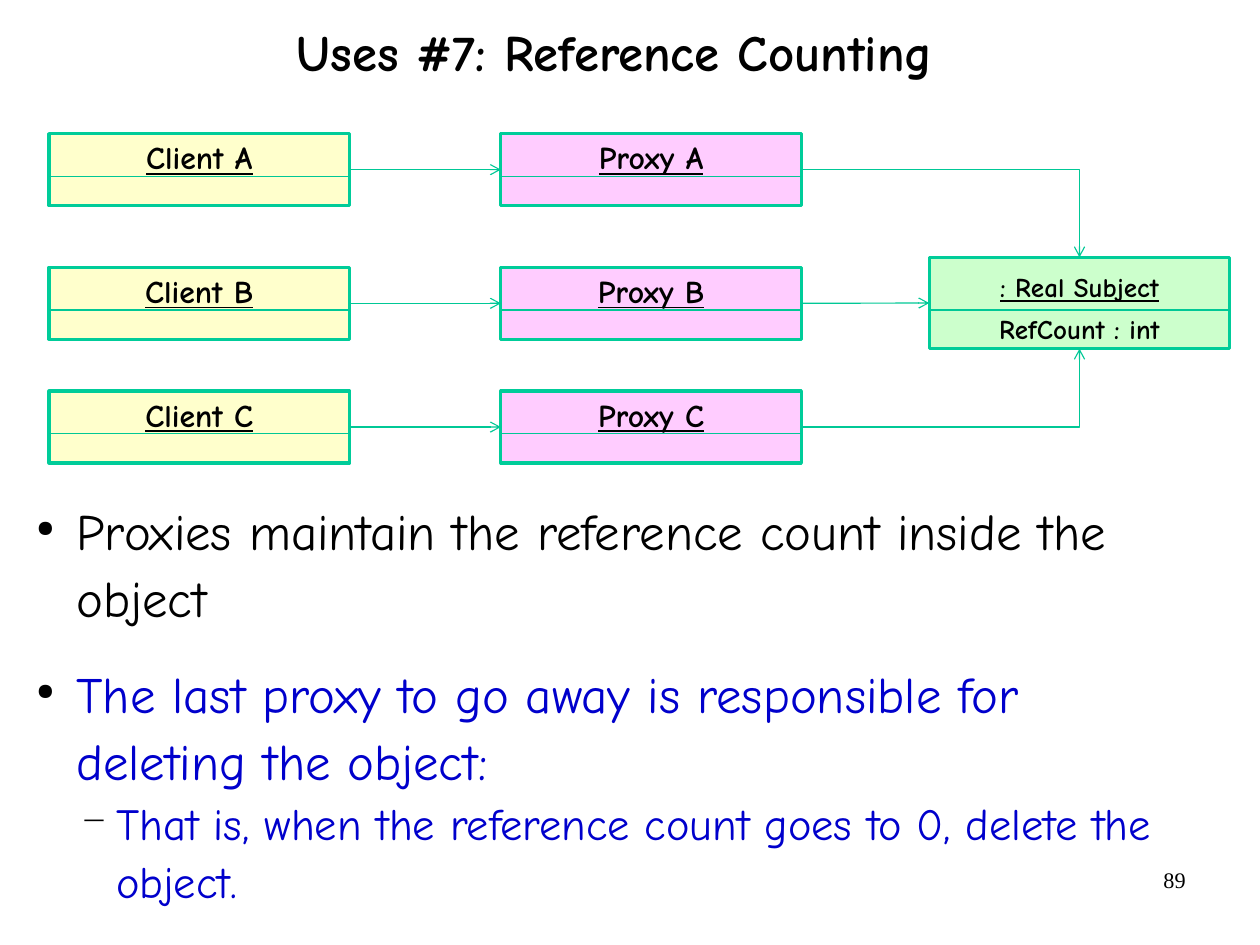
from dataclasses import dataclass

from lxml import etree
from pptx import Presentation
from pptx.dml.color import RGBColor
from pptx.enum.shapes import MSO_CONNECTOR, MSO_SHAPE
from pptx.enum.text import MSO_ANCHOR, MSO_AUTO_SIZE, PP_ALIGN
from pptx.oxml.ns import qn
from pptx.util import Cm, Pt

STRAIGHT, ELBOW = MSO_CONNECTOR.STRAIGHT, MSO_CONNECTOR.ELBOW
RECTANGLE = MSO_SHAPE.RECTANGLE
TOP, MIDDLE = MSO_ANCHOR.TOP, MSO_ANCHOR.MIDDLE
LEFT, CENTER, RIGHT = PP_ALIGN.LEFT, PP_ALIGN.CENTER, PP_ALIGN.RIGHT
NO_AUTOFIT = MSO_AUTO_SIZE.NONE
SIDE_TOP, SIDE_LEFT, SIDE_BOTTOM, SIDE_RIGHT = range(4)
TITLE_ONLY = 5


@dataclass(frozen=True)
class Theme:
    font: str = "Comic Neue"
    number_font: str = "Times New Roman"
    black: str = "000000"
    blue: str = "0000CC"
    border: str = "00CC99"
    link: str = "00C896"
    client: str = "FFFFCC"
    proxy: str = "FFCCFF"
    subject: str = "CCFFCC"
    title_size: int = 32
    body_size: int = 32
    detail_size: int = 28
    name_size: int = 20
    subject_size: int = 17
    number_size: int = 14
    border_width: float = 2
    link_width: float = 0.75


def assign(target, values):
    for name, value in values.items():
        setattr(target, name, value)


class SlideBuilder:
    def __init__(self, slide, theme):
        self.slide = slide
        self.theme = theme

    def frame(self, shape, margins=(0, 0, 0, 0), anchor=TOP):
        text_frame = shape.text_frame
        sides = ("margin_left", "margin_top", "margin_right", "margin_bottom")
        assign(text_frame, dict(zip(sides, map(Cm, margins))))
        assign(text_frame, {"word_wrap": True, "auto_size": NO_AUTOFIT,
                            "vertical_anchor": anchor})
        return text_frame

    def add_text(self, paragraph, text, size, color=None, font=None,
                 alignment=CENTER, spacing=1.0, after=0, **styles):
        assign(paragraph, {"alignment": alignment, "line_spacing": spacing,
                           "space_before": Pt(0), "space_after": Pt(after)})
        run = paragraph.add_run()
        run.text = text
        assign(run.font, {"name": font or self.theme.font, "size": Pt(size), **styles})
        run.font.color.rgb = RGBColor.from_string(color or self.theme.black)

    def title(self, text, left, top, width, height):
        shape = self.slide.shapes.title
        assign(shape, {"left": Cm(left), "top": Cm(top),
                       "width": Cm(width), "height": Cm(height)})
        text_frame = self.frame(shape, anchor=MIDDLE)
        self.add_text(text_frame.paragraphs[0], text, self.theme.title_size,
                      spacing=0.88, bold=True)

    def text_box(self, left, top, width, height, margins=(0, 0, 0, 0)):
        shape = self.slide.shapes.add_textbox(Cm(left), Cm(top), Cm(width), Cm(height))
        return self.frame(shape, margins)

    def bullet(self, paragraph, symbol, percent, margin, hanging, level=0):
        paragraph.level = level
        properties = paragraph._p.get_or_add_pPr()
        properties.set("marL", str(Cm(margin)))
        properties.set("indent", str(-Cm(hanging)))
        color = etree.SubElement(properties, qn("a:buClr"))
        etree.SubElement(color, qn("a:srgbClr"), val=self.theme.black)
        etree.SubElement(properties, qn("a:buSzPct"), val=str(percent * 1000))
        etree.SubElement(properties, qn("a:buChar"), char=symbol)

    def line(self, kind, start=(0, 0), end=(0, 0)):
        points = [Cm(value) for value in (*start, *end)]
        connector = self.slide.shapes.add_connector(kind, *points)
        connector.line.color.rgb = RGBColor.from_string(self.theme.link)
        connector.line.width = Pt(self.theme.link_width)
        etree.SubElement(connector._element.spPr, qn("a:effectLst"))
        return connector

    def arrow(self, source, target, side=SIDE_LEFT):
        connector = self.line(STRAIGHT if side == SIDE_LEFT else ELBOW)
        connector.begin_connect(source, SIDE_RIGHT)
        connector.end_connect(target, side)
        properties = connector._element.spPr
        if side != SIDE_LEFT:
            properties.find(qn("a:prstGeom")).set("prst", "bentConnector2")
        etree.SubElement(properties.find(qn("a:ln")), qn("a:tailEnd"), type="arrow")

    def object_box(self, left, top, width, height, divider, fill, margins, anchor=TOP):
        shape = self.slide.shapes.add_shape(
            RECTANGLE, Cm(left), Cm(top), Cm(width), Cm(height))
        shape.shadow.inherit = False
        shape.fill.solid()
        shape.fill.fore_color.rgb = RGBColor.from_string(fill)
        shape.line.color.rgb = RGBColor.from_string(self.theme.border)
        shape.line.width = Pt(self.theme.border_width)
        self.frame(shape, margins, anchor)
        self.line(STRAIGHT, (left, top + divider), (left + width, top + divider))
        return shape

    def named_box(self, name, left, top, width, fill):
        shape = self.object_box(left, top, width, 1.6, 0.95, fill, (0.25, 0.1, 0.25, 0))
        self.add_text(shape.text_frame.paragraphs[0], name, self.theme.name_size,
                      bold=True, underline=True)
        return shape


def main():
    theme = Theme()
    presentation = Presentation()
    assign(presentation, {"slide_width": Cm(28), "slide_height": Cm(21)})
    slide = presentation.slides.add_slide(presentation.slide_layouts[TITLE_ONLY])
    builder = SlideBuilder(slide, theme)
    builder.title("Uses #7: Reference Counting", 0, 0, 27.33, 2.46)

    box_width = 6.68
    subject = builder.object_box(20.65, 5.72, box_width, 2.03, 1.17, theme.subject,
                                 (0.25, 0.13, 0.25, 0.13), MIDDLE)
    subject_frame = subject.text_frame
    subject_style = {"size": theme.subject_size, "spacing": 1.3, "bold": True}
    builder.add_text(subject_frame.paragraphs[0], ": Real Subject",
                     underline=True, **subject_style)
    builder.add_text(subject_frame.add_paragraph(), "RefCount : int", **subject_style)

    rows = (("A", 2.97, SIDE_TOP), ("B", 5.94, SIDE_LEFT), ("C", 8.69, SIDE_BOTTOM))
    for letter, top, subject_side in rows:
        client = builder.named_box(f"Client {letter}", 1.09, top, box_width, theme.client)
        proxy = builder.named_box(f"Proxy {letter}", 11.13, top, box_width, theme.proxy)
        builder.arrow(client, proxy)
        builder.arrow(proxy, subject, subject_side)

    main_bullet = {"symbol": "●", "percent": 45, "margin": 1.17, "hanging": 0.89}
    detail_bullet = {"symbol": "−", "percent": 75, "margin": 2.06, "hanging": 0.79,
                     "level": 1}
    points = (
        ("Proxies maintain the reference count inside the object",
         theme.body_size, theme.black, 18, main_bullet),
        ("The last proxy to go away is responsible for deleting the object:",
         theme.body_size, theme.blue, 0, main_bullet),
        ("That is, when the reference count goes to 0, delete the object.",
         theme.detail_size, theme.blue, 12, detail_bullet),
    )
    body = builder.text_box(0.53, 10.97, 26.24, 8.53)
    for index, (text, size, color, after, bullet) in enumerate(points):
        paragraph = body.add_paragraph() if index else body.paragraphs[0]
        builder.add_text(paragraph, text, size, color, alignment=LEFT,
                         spacing=1.1, after=after)
        builder.bullet(paragraph, **bullet)

    number = builder.text_box(20.07, 19.13, 6.53, 1.45, (0.25, 0.13, 0.25, 0.13))
    builder.add_text(number.paragraphs[0], "89", theme.number_size,
                     font=theme.number_font, alignment=RIGHT)
    presentation.save("out.pptx")


if __name__ == "__main__":
    main()
